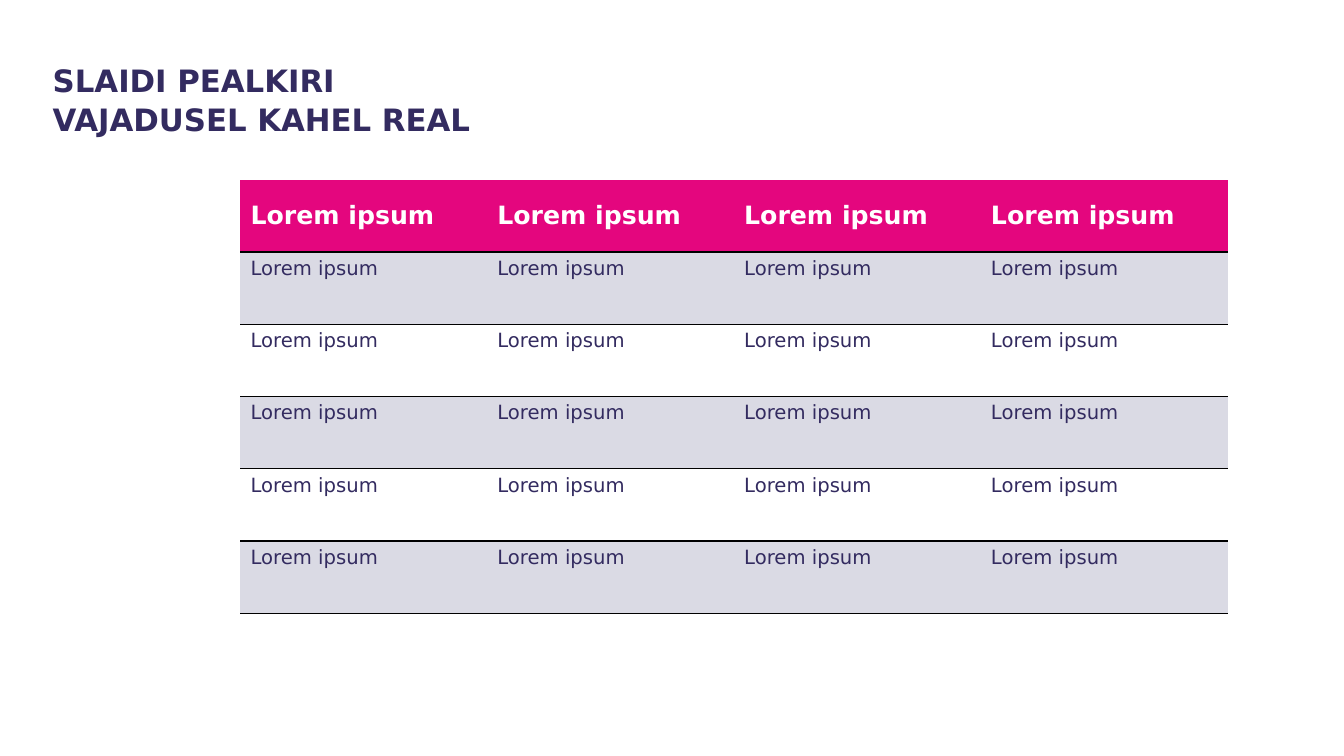
from dataclasses import dataclass

from lxml import etree
from pptx import Presentation
from pptx import util as u
from pptx.dml import color
from pptx.enum import text
from pptx.oxml import ns


@dataclass(frozen=True)
class Theme:
    """Colours, font and type sizes of the slide."""
    font: str = "DejaVu Sans"
    ink: str = "332B60"
    accent: str = "E4067E"
    band: str = "DADAE4"
    paper: str = "FFFFFF"
    rule: str = "000000"
    title_size: int = 22
    header_size: int = 18
    body_size: int = 14


class SlideBuilder:
    """Draws styled elements on the current slide."""

    def __init__(self, theme, slide):
        self.theme = theme
        self.slide = slide

    def style(self, paragraph, size, colour, bold):
        paragraph.font.name = self.theme.font
        paragraph.font.size = u.Pt(size)
        paragraph.font.bold = bold
        paragraph.font.color.rgb = color.RGBColor.from_string(colour)

    def title(self, wording, left, top, width, height):
        frame = self.slide.shapes.add_textbox(left, top, width, height).text_frame
        frame.word_wrap = True
        frame.margin_left = frame.margin_top = frame.margin_right = frame.margin_bottom = 0
        heading = frame.paragraphs[0]
        heading.text = wording
        heading.line_spacing = 1.04
        self.style(heading, self.theme.title_size, self.theme.ink, True)

    def border(self, cell, side, colour=None):
        properties = cell._tc.get_or_add_tcPr()
        line = etree.SubElement(properties, ns.qn(f"a:ln{side}"), w=str(u.Pt(1)))
        if colour is None:
            etree.SubElement(line, ns.qn("a:noFill"))
        else:
            fill = etree.SubElement(line, ns.qn("a:solidFill"))
            etree.SubElement(fill, ns.qn("a:srgbClr"), val=colour)

    def cell(self, cell, wording, is_header, is_banded):
        theme = self.theme
        self.border(cell, "L")
        self.border(cell, "R")
        self.border(cell, "T", None if is_header else theme.rule)
        self.border(cell, "B", theme.rule)
        background = theme.accent if is_header else theme.band if is_banded else theme.paper
        cell.fill.solid()
        cell.fill.fore_color.rgb = color.RGBColor.from_string(background)
        cell.text = wording
        entry = cell.text_frame.paragraphs[0]
        if is_header:
            cell.vertical_anchor = text.MSO_ANCHOR.MIDDLE
            self.style(entry, theme.header_size, theme.paper, True)
        else:
            self.style(entry, theme.body_size, theme.ink, False)

    def table(self, rows, left, top, column_width, row_height):
        row_count, column_count = len(rows), len(rows[0])
        grid = self.slide.shapes.add_table(
            row_count, column_count, left, top,
            column_width * column_count, row_height * row_count).table
        for row_index, row in enumerate(rows):
            for column_index, wording in enumerate(row):
                self.cell(grid.cell(row_index, column_index), wording,
                          row_index == 0, row_index % 2 == 1)


def main():
    deck = Presentation()
    deck.slide_width, deck.slide_height = u.Cm(33.87), u.Cm(19.05)
    builder = SlideBuilder(Theme(), deck.slides.add_slide(deck.slide_layouts[6]))
    builder.title("SLAIDI PEALKIRI\vVAJADUSEL KAHEL REAL",
                  u.Cm(1.33), u.Cm(1.53), u.Cm(24.5), u.Cm(2.31))
    builder.table([["Lorem ipsum"] * 4] * 6,
                  u.Cm(6.06), u.Cm(4.53), u.Cm(6.22), u.Cm(1.82))
    deck.save("out.pptx")


if __name__ == "__main__":
    main()
